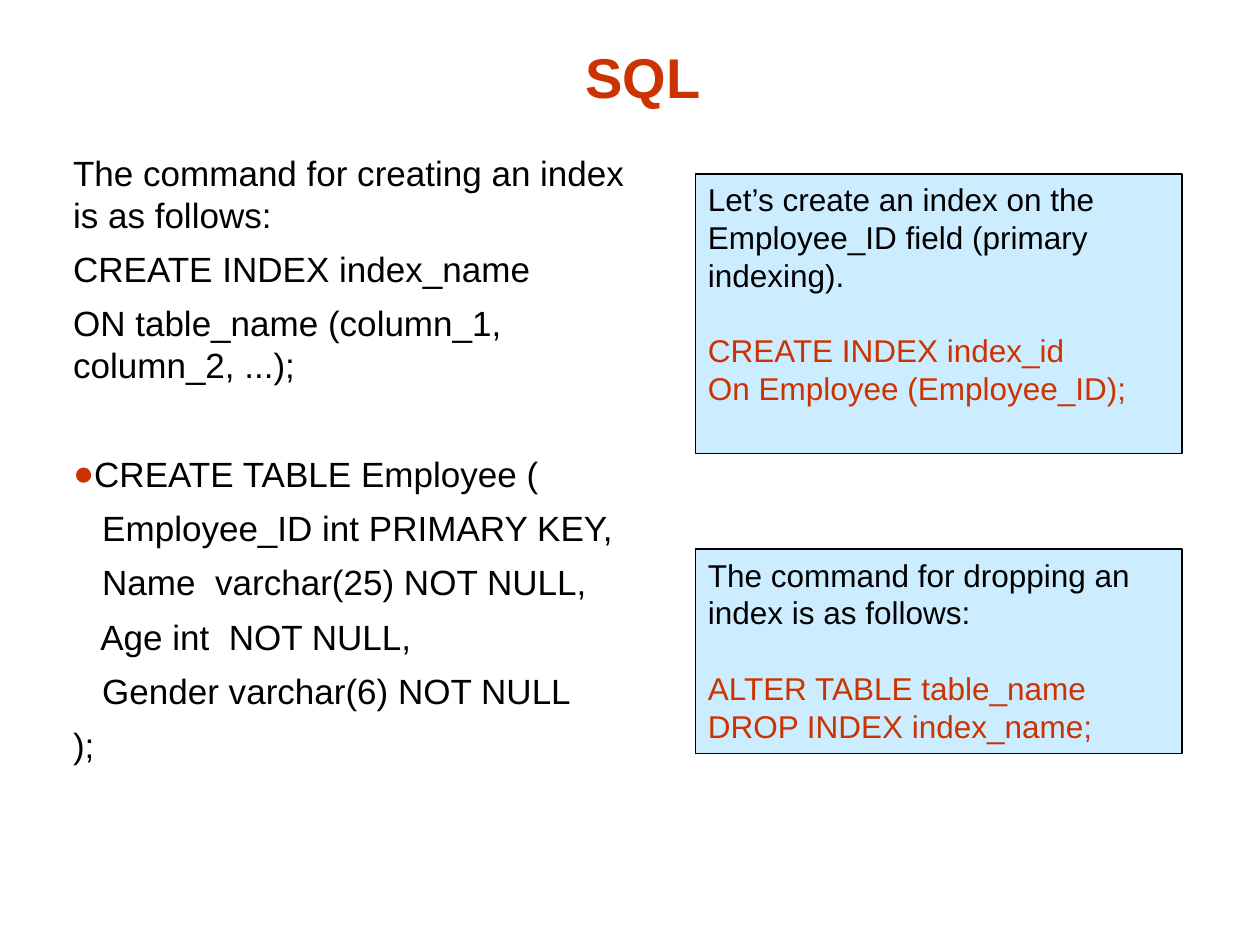
"""Build the SQL index slide."""
import pptx
import pptx.dml.color
import pptx.enum.shapes
import pptx.enum.text
import pptx.oxml
import pptx.oxml.ns
import pptx.util

Inches, Pt = pptx.util.Inches, pptx.util.Pt
RED, BLACK, BLUE = "CC3300", "000000", "CCECFF"
BULLET = "CREATE TABLE Employee ("
LINES = [
    "The command for creating an index is as follows:",
    "CREATE INDEX index_name",
    "ON table_name (column_1, column_2, ...);",
    BULLET,
    "   Employee_ID int PRIMARY KEY,",
    "   Name  varchar(25) NOT NULL,",
    "   Age int  NOT NULL,",
    "   Gender varchar(6) NOT NULL",
    ");",
]
CARDS = [
    (1.38, 2.22, "Let’s create an index on the Employee_ID field (primary indexing).",
     ["CREATE INDEX index_id", "On Employee (Employee_ID);"]),
    (4.36, 1.62, "The command for dropping an index is as follows:",
     ["ALTER TABLE table_name", "DROP INDEX index_name;"]),
]


def color(code):
    return pptx.dml.color.RGBColor.from_string(code)


def place(shape, *box):
    shape.left, shape.top, shape.width, shape.height = map(Inches, box)


def style(para, size, code, before=0, bold=False):
    para.space_before = Pt(before)
    font = para.font
    font.name, font.size, font.bold = "Arial", Pt(size), bold
    font.color.rgb = color(code)


def setup(frame, anchor):
    frame.word_wrap = True
    frame.auto_size = pptx.enum.text.MSO_AUTO_SIZE.NONE
    frame.vertical_anchor = anchor


def mark(para, on):
    props = para._p.get_or_add_pPr()
    props.set("marL", "0")
    props.set("indent", str(Inches(-0.12) if on else 0))
    space = pptx.oxml.ns.nsdecls("a")
    parts = [f'<a:buClr {space}><a:srgbClr val="{RED}"/></a:buClr>',
             f'<a:buFont {space} typeface="Arial"/>',
             f'<a:buChar {space} char="●"/>'] if on else [f"<a:buNone {space}/>"]
    for part in parts:
        props.append(pptx.oxml.parse_xml(part))


def fill(frame, texts):
    frame.text = "\n".join(texts)
    return frame.paragraphs


def card(slide, top, height, intro, code):
    shape = slide.shapes.add_shape(
        pptx.enum.shapes.MSO_SHAPE.RECTANGLE,
        Inches(5.52), Inches(top), Inches(3.86), Inches(height))
    shape.shadow.inherit = False
    shape.fill.solid()
    shape.fill.fore_color.rgb = color(BLUE)
    shape.line.color.rgb = color(BLACK)
    shape.line.width = Pt(1)
    setup(shape.text_frame, pptx.enum.text.MSO_ANCHOR.TOP)
    for i, para in enumerate(fill(shape.text_frame, [intro] + code)):
        para.alignment = pptx.enum.text.PP_ALIGN.LEFT
        style(para, 18, RED if i else BLACK, 21.6 if i == 1 else 0)


def main():
    deck = pptx.Presentation()
    deck.slide_width, deck.slide_height = Inches(10), Inches(7.5)
    slide = deck.slides.add_slide(deck.slide_layouts[1])
    title, body = slide.placeholders

    place(title, 0.69, 0.25, 8.83, 0.67)
    setup(title.text_frame, pptx.enum.text.MSO_ANCHOR.BOTTOM)
    head = fill(title.text_frame, ["SQL"])[0]
    head.alignment = pptx.enum.text.PP_ALIGN.CENTER
    style(head, 32, RED, bold=True)

    place(body, 0.48, 1.15, 4.68, 5.33)
    setup(body.text_frame, pptx.enum.text.MSO_ANCHOR.TOP)
    for i, para in enumerate(fill(body.text_frame, LINES)):
        on = para.text == BULLET
        mark(para, on)
        style(para, 20, BLACK, 38 if on else 7 if i else 0)

    for item in CARDS:
        card(slide, *item)
    deck.save("out.pptx")


if __name__ == "__main__":
    main()
